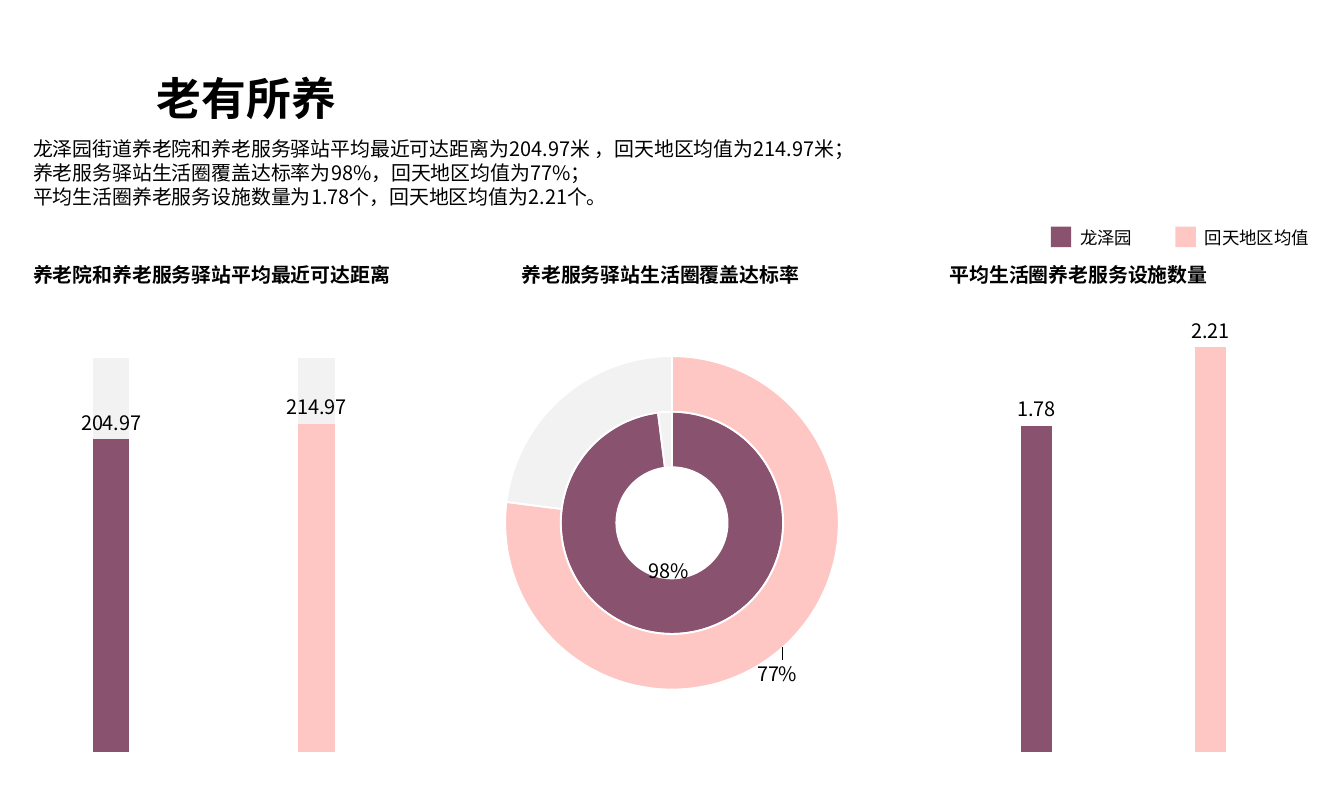
import pptx
import pptx.chart.data
import pptx.dml.color
import pptx.enum.chart
import pptx.enum.shapes
import pptx.enum.text
import pptx.oxml
import pptx.oxml.ns
import pptx.util
from pptx.util import Cm, Pt

FONT = "Noto Sans CJK SC"
BLACK, WHITE, GREY = "000000", "FFFFFF", "F2F2F2"
TOWN, REGION = "89536F", "FEC7C4"
CHART = pptx.enum.chart.XL_CHART_TYPE


def color(value):
    """Turn a hex string into a colour."""
    return pptx.dml.color.RGBColor.from_string(value)


def paint(target, value):
    """Give a shape, series or point a solid fill."""
    fill = getattr(target, "format", target).fill
    fill.solid()
    fill.fore_color.rgb = color(value)


def write(box, text, size, bold=False, pitch=None, wrap=False):
    """Fill a box with left-aligned text on an exact line pitch."""
    frame = box.text_frame
    frame.text = text
    frame.word_wrap = wrap
    for paragraph in frame.paragraphs:
        paragraph.alignment = pptx.enum.text.PP_ALIGN.LEFT
        paragraph.line_spacing = Pt(pitch or round(size * 1.21, 1))
        paragraph.space_before = Pt(0)
        for span in paragraph.runs:
            span.font.size = Pt(size)
            span.font.bold = bold
            span.font.name = FONT
            span.font.color.rgb = color(BLACK)
            east = span.font._element.makeelement(
                pptx.oxml.ns.qn("a:ea"), {"typeface": FONT})
            span.font._element.find(pptx.oxml.ns.qn("a:latin")).addnext(east)
    return frame


def add_title(page, left, top, width, height):
    """Place the page title in its placeholder."""
    title = page.shapes.title
    title.left, title.top, title.width, title.height = left, top, width, height
    frame = write(title, "老有所养", 36, bold=True, pitch=68, wrap=True)
    frame.vertical_anchor = pptx.enum.text.MSO_ANCHOR.TOP
    frame.auto_size = pptx.enum.text.MSO_AUTO_SIZE.NONE


def add_summary(page, left, top, width, height):
    """Write the three findings below the title."""
    box = page.shapes.add_textbox(left, top, width, height)
    lines = [
        "龙泽园街道养老院和养老服务驿站平均最近可达距离为204.97米 ，回天地区均值为214.97米；",
        "养老服务驿站生活圈覆盖达标率为98%，回天地区均值为77%；",
        "平均生活圈养老服务设施数量为1.78个，回天地区均值为2.21个。",
    ]
    frame = write(box, "\n".join(lines), 16, wrap=True)
    frame.vertical_anchor = pptx.enum.text.MSO_ANCHOR.MIDDLE


def add_key(page, left, top, width, text, fill):
    """Add one legend entry: a swatch and its label."""
    side = Cm(0.58)
    swatch = page.shapes.add_shape(
        pptx.enum.shapes.MSO_SHAPE.RECTANGLE, left, top + Cm(0.13), side, side)
    swatch.shadow.inherit = False
    swatch.line.fill.background()
    paint(swatch, fill)
    box = page.shapes.add_textbox(left + side, top, width, Cm(0.86))
    write(box, text, 14).auto_size = pptx.enum.text.MSO_AUTO_SIZE.SHAPE_TO_FIT_TEXT


def add_heading(page, left, top, width, text):
    """Add the bold heading above a chart."""
    box = page.shapes.add_textbox(left, top, width, Cm(0.94))
    frame = write(box, text, 16, bold=True)
    frame.auto_size = pptx.enum.text.MSO_AUTO_SIZE.SHAPE_TO_FIT_TEXT


def style_font(font):
    """Format chart text."""
    font.size, font.name = Pt(16), FONT
    font.color.rgb = color(BLACK)


def add_chart(page, kind, box, rows, number_format):
    """Add a plain chart with one series for each row of values."""
    data = pptx.chart.data.CategoryChartData(number_format=number_format)
    data.categories = ["1", "2"]
    for number, values in enumerate(rows, 1):
        data.add_series(f"Series {number}", values)
    chart = page.shapes.add_chart(kind, *box, data).chart
    chart.has_legend = chart.has_title = False
    style_font(chart.font)
    return chart


def add_columns(page, box, rows, maximum, overlap):
    """Compare town and region as columns; earlier rows are grey backing."""
    chart = add_chart(page, CHART.COLUMN_CLUSTERED, box, rows, "General")
    for axis in (chart.category_axis, chart.value_axis):
        axis.has_major_gridlines = False
        axis.visible = False
    chart.value_axis.minimum_scale = 0
    chart.value_axis.maximum_scale = maximum
    plot = chart.plots[0]
    plot.vary_by_categories = False
    plot.gap_width, plot.overlap = 464, overlap
    *backing, measured = plot.series
    for series in backing:
        paint(series, GREY)
    for index, fill in enumerate((TOWN, REGION)):
        paint(measured.points[index], fill)
    labels = measured.data_labels
    labels.show_value = True
    labels.position = pptx.enum.chart.XL_LABEL_POSITION.OUTSIDE_END
    style_font(labels.font)


def shift_label(series, across, down):
    """Move the first point's label by a fraction of the chart size."""
    label = series.points[0].data_label
    style_font(label.font)
    series.data_labels.show_value = False
    layout = pptx.oxml.parse_xml(
        f'<c:layout {pptx.oxml.ns.nsdecls("c")}><c:manualLayout>'
        f'<c:x val="{across}"/><c:y val="{down}"/>'
        '</c:manualLayout></c:layout>')
    entry = series._element.find(".//" + pptx.oxml.ns.qn("c:dLbl"))
    entry.insert(1, layout)


def add_rings(page, box, shares):
    """Show town (inner) and region (outer) coverage as rings."""
    rows = [(share, round(1 - share, 2)) for share in shares]
    chart = add_chart(page, CHART.DOUGHNUT, box, rows, "0%")
    offsets = [(-0.02, -0.1), (0.03, 0.13)]
    for series, fill, offset in zip(chart.plots[0].series, (TOWN, REGION), offsets):
        for index, shade in enumerate((fill, GREY)):
            point = series.points[index]
            paint(point, shade)
            point.format.line.color.rgb = color(WHITE)
            point.format.line.width = Pt(1.5)
        shift_label(series, *offset)


def build():
    """Build and save the page."""
    deck = pptx.Presentation()
    deck.slide_width, deck.slide_height = Cm(38.1), Cm(22.86)
    page = deck.slides.add_slide(deck.slide_layouts.get_by_name("Title Only"))
    margin, heading_top = Cm(0.69), Cm(7.32)
    chart_top, chart_height = Cm(8.08), Cm(13.51)

    add_title(page, Cm(4.19), Cm(0.99), Cm(7.72), Cm(2.29))
    add_summary(page, margin, Cm(3.73), Cm(36.73), Cm(2.31))
    add_key(page, Cm(29.79), Cm(6.3), Cm(2.01), "龙泽园", TOWN)
    add_key(page, Cm(33.32), Cm(6.3), Cm(3.51), "回天地区均值", REGION)

    add_heading(page, margin, heading_top, Cm(10.77), "养老院和养老服务驿站平均最近可达距离")
    add_columns(page, (Cm(0), chart_top, Cm(12.12), chart_height),
                [(258, 258), (204.97, 214.97)], 300, 100)

    add_heading(page, Cm(14.53), heading_top, Cm(8.48), "养老服务驿站生活圈覆盖达标率")
    add_rings(page, (Cm(12.8), Cm(9.75), Cm(12.5), Cm(10.16)), (0.98, 0.77))

    add_heading(page, Cm(26.67), heading_top, Cm(7.92), "平均生活圈养老服务设施数量")
    add_columns(page, (Cm(26.7), chart_top, Cm(10.29), chart_height),
                [(1.78, 2.21)], 2.5, -27)
    deck.save("out.pptx")


build()
